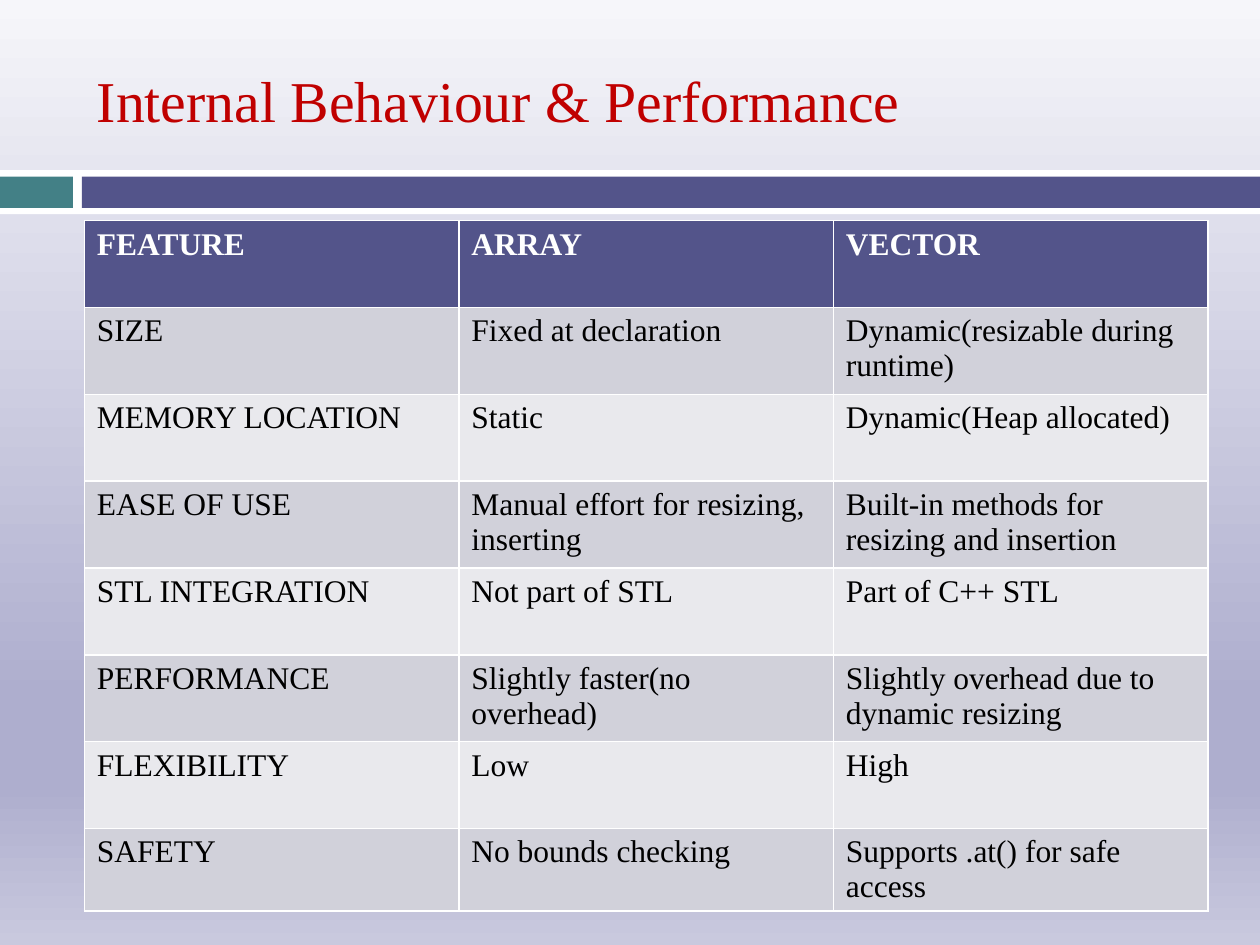
from lxml import etree
from pptx import Presentation
from pptx.dml.color import RGBColor
from pptx.enum.shapes import MSO_SHAPE
from pptx.enum.text import MSO_ANCHOR, PP_ALIGN
from pptx.oxml.ns import qn
from pptx.util import Cm, Pt

RECT = MSO_SHAPE.RECTANGLE
MIDDLE = MSO_ANCHOR.MIDDLE
LEFT = PP_ALIGN.LEFT

FONT = "Times New Roman"
TITLE = "Internal Behaviour & Performance"
ROWS = [
    ("FEATURE", "ARRAY", "VECTOR"),
    ("SIZE", "Fixed at declaration", "Dynamic(resizable during runtime)"),
    ("MEMORY LOCATION", "Static", "Dynamic(Heap allocated)"),
    ("EASE OF USE", "Manual effort for resizing, inserting",
     "Built-in methods for resizing and insertion"),
    ("STL INTEGRATION", "Not part of STL", "Part of C++ STL"),
    ("PERFORMANCE", "Slightly faster(no overhead)",
     "Slightly overhead due to dynamic resizing"),
    ("FLEXIBILITY", "Low", "High"),
    ("SAFETY", "No bounds checking", "Supports .at() for safe access"),
]
STOPS = [(0, "F6F6FA"), (74, "AEAECE"), (83, "AEAECE"), (100, "C9C9DE")]
BARS = [
    (0, 3.43, 25.4, 0.89, "FFFFFF"),
    (0, 3.56, 1.47, 0.63, "438086"),
    (1.65, 3.56, 23.75, 0.63, "53548A"),
]
HEAD, BANDS = "53548A", ("E9E9ED", "D1D1DA")
SIDE, WIDE = 1.7, 22.65
TOP, HIGH, LAST = 4.45, 1.75, 1.65


def paint(fill, color):
    fill.solid()
    fill.fore_color.rgb = RGBColor.from_string(color)


def style(para, size, color, bold=False):
    for run in para.runs:
        font = run.font
        font.name, font.size, font.bold = FONT, Pt(size), bold
        font.color.rgb = RGBColor.from_string(color)


def shade(slide):
    fill = slide.background.fill
    fill.gradient()
    fill.gradient_angle = 270
    stops = next(slide.element.iter(qn("a:gsLst")))
    for old in list(stops):
        stops.remove(old)
    for pos, color in STOPS:
        stop = etree.SubElement(stops, qn("a:gs"), pos=str(pos * 1000))
        etree.SubElement(stop, qn("a:srgbClr"), val=color)


def add_bars(slide):
    for *box, color in BARS:
        bar = slide.shapes.add_shape(RECT, *map(Cm, box))
        bar.shadow.inherit = False
        paint(bar.fill, color)
        bar.line.fill.background()


def set_title(slide):
    title = slide.shapes.title
    title.left, title.top = Cm(SIDE), Cm(0.64)
    title.width, title.height = Cm(WIDE), Cm(2.74)
    frame = title.text_frame
    frame.text = TITLE
    frame.vertical_anchor = MIDDLE
    para = frame.paragraphs[0]
    para.alignment = LEFT
    style(para, 33, "C00000")


def fill_table(slide):
    count = len(ROWS)
    total = HIGH * (count - 1) + LAST
    table = slide.shapes.add_table(
        count, len(ROWS[0]), Cm(SIDE), Cm(TOP), Cm(WIDE), Cm(total)).table
    for i, texts in enumerate(ROWS):
        table.rows[i].height = Cm(LAST if i == count - 1 else HIGH)
        for j, text in enumerate(texts):
            cell = table.cell(i, j)
            cell.text_frame.text = text
            paint(cell.fill, BANDS[i % 2] if i else HEAD)
            color = "000000" if i else "FFFFFF"
            style(cell.text_frame.paragraphs[0], 18, color, i == 0)


def main():
    deck = Presentation()
    deck.slide_width, deck.slide_height = Cm(25.4), Cm(19.05)
    slide = deck.slides.add_slide(deck.slide_layouts[5])
    shade(slide)
    add_bars(slide)
    set_title(slide)
    fill_table(slide)
    deck.save("out.pptx")


if __name__ == "__main__":
    main()
